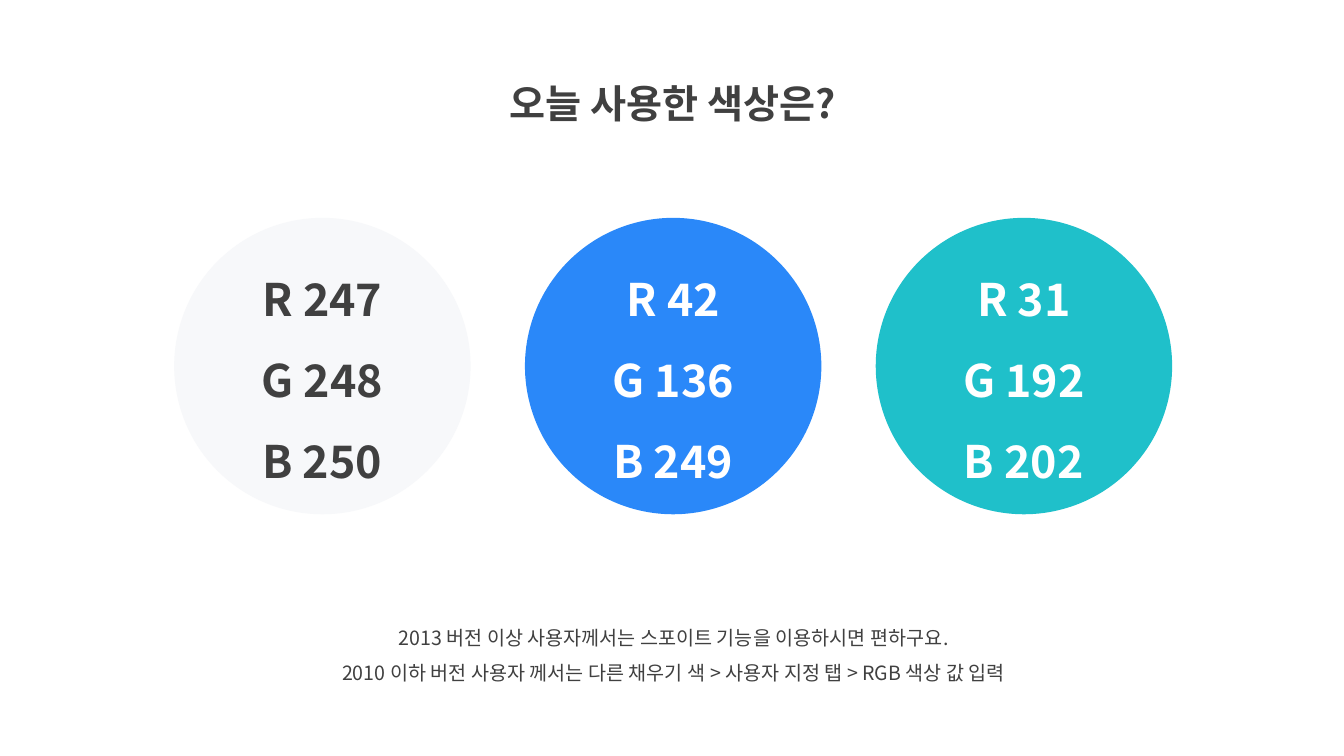
import pptx
import pptx.dml.color
import pptx.enum.shapes
import pptx.enum.text
import pptx.oxml.ns
import pptx.util
from lxml import etree

Cm = pptx.util.Cm
RGBColor = pptx.dml.color.RGBColor

FONT = "Noto Sans CJK KR"
DARK = RGBColor(64, 64, 64)
WHITE = RGBColor(255, 255, 255)
PALE_GRAY = RGBColor(247, 248, 250)
BLUE = RGBColor(42, 136, 249)
TEAL = RGBColor(31, 192, 202)

TITLE = "오늘 사용한 색상은?"
SWATCHES = [(PALE_GRAY, DARK), (BLUE, WHITE), (TEAL, WHITE)]
NOTES = [
    "2013 버전 이상 사용자께서는 스포이트 기능을 이용하시면 편하구요.",
    "2010 이하 버전 사용자 께서는 다른 채우기 색 > 사용자 지정 탭 > RGB 색상 값 입력",
]

CIRCLE_LEFT, CIRCLE_TOP = 4.39, 5.49
CIRCLE_SIZE, CIRCLE_PITCH = 7.47, 8.84


def write_text(shape, lines, size, color=DARK, bold=False,
               anchor=pptx.enum.text.MSO_ANCHOR.TOP):
    frame = shape.text_frame
    frame.text = "\n".join(lines)
    frame.word_wrap = True
    frame.auto_size = pptx.enum.text.MSO_AUTO_SIZE.NONE
    frame.vertical_anchor = anchor
    for paragraph in frame.paragraphs:
        paragraph.alignment = pptx.enum.text.PP_ALIGN.CENTER
        paragraph.line_spacing = 1.5
        font = paragraph.runs[0].font
        font.name = FONT
        font.size = pptx.util.Pt(size)
        font.bold = bold
        font.color.rgb = color
        properties = paragraph.runs[0].font._element
        east_asian = etree.SubElement(properties, pptx.oxml.ns.qn("a:ea"))
        east_asian.set("typeface", FONT)


def add_swatch(slide, index, fill, text_color):
    circle = slide.shapes.add_shape(
        pptx.enum.shapes.MSO_SHAPE.OVAL,
        Cm(CIRCLE_LEFT + index * CIRCLE_PITCH), Cm(CIRCLE_TOP),
        Cm(CIRCLE_SIZE), Cm(CIRCLE_SIZE))
    circle.shadow.inherit = False
    circle.fill.solid()
    circle.fill.fore_color.rgb = fill
    circle.line.fill.background()
    lines = [f"{channel} {value}" for channel, value in zip("RGB", fill)]
    write_text(circle, lines, size=32, color=text_color, bold=True,
               anchor=pptx.enum.text.MSO_ANCHOR.MIDDLE)


def main():
    presentation = pptx.Presentation()
    presentation.slide_width = Cm(33.87)
    presentation.slide_height = Cm(19.05)
    slide = presentation.slides.add_slide(presentation.slide_layouts[5])

    title = slide.shapes.title
    title.left, title.top = Cm(11.07), Cm(1.27)
    title.width, title.height = Cm(11.76), Cm(1.83)
    write_text(title, [TITLE], size=28, bold=True)

    notes = slide.shapes.add_textbox(Cm(6.83), Cm(15.34), Cm(20.29), Cm(2.06))
    write_text(notes, NOTES, size=14)

    for index, (fill, text_color) in enumerate(SWATCHES):
        add_swatch(slide, index, fill, text_color)

    presentation.save("out.pptx")


if __name__ == "__main__":
    main()
